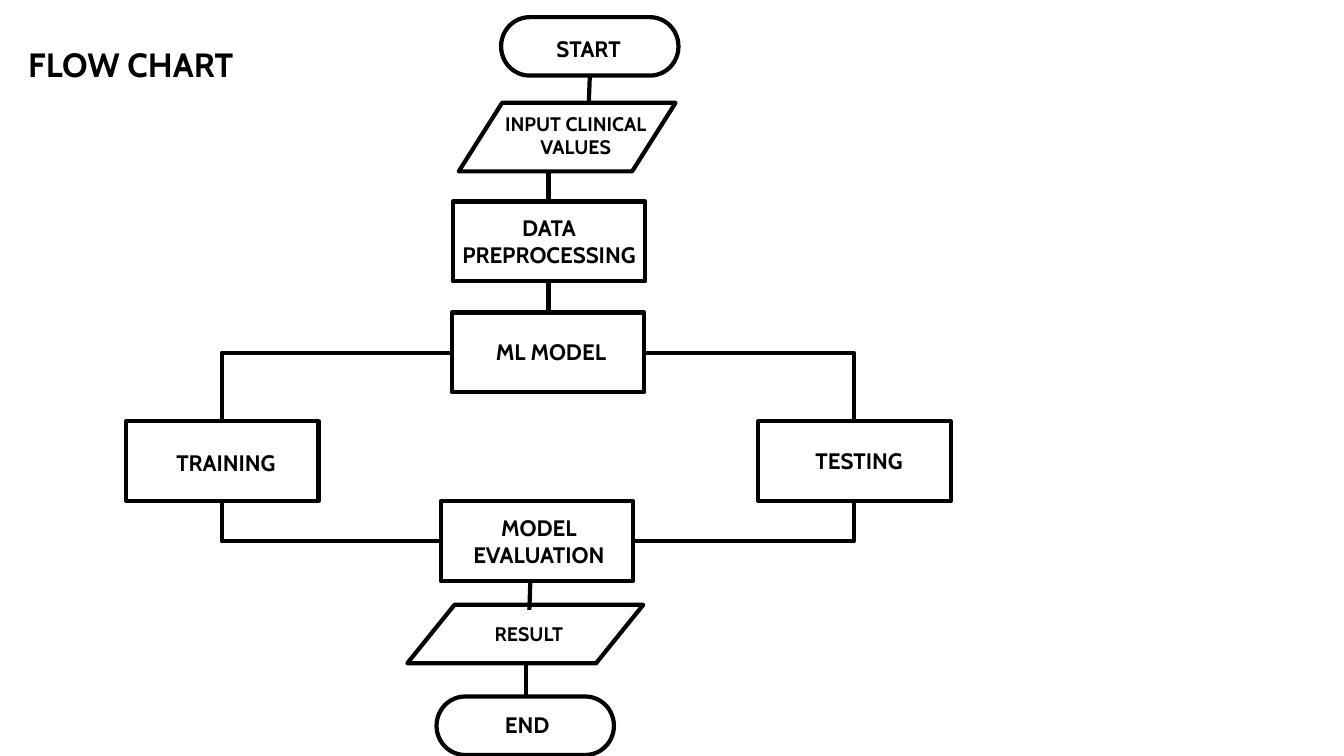
from lxml.etree import SubElement
from pptx import Presentation
from pptx.dml.color import RGBColor
from pptx.enum.shapes import MSO_CONNECTOR, MSO_SHAPE
from pptx.enum.text import MSO_ANCHOR, PP_ALIGN
from pptx.oxml.ns import qn
from pptx.util import Inches, Pt

# The slide is a grid of 1333 columns by 750 rows
CELL = Inches(0.01)
COLUMNS, ROWS = 1333, 750
INK = "000000"
FONT = "Cabin"
LINE_WIDTH = Pt(3)

TERMINATOR = MSO_SHAPE.FLOWCHART_TERMINATOR
PROCESS = MSO_SHAPE.FLOWCHART_PROCESS
DATA = MSO_SHAPE.FLOWCHART_DATA
LEFT, CENTER = PP_ALIGN.LEFT, PP_ALIGN.CENTER

TERMINATOR_SIZE = (176, 58)
PROCESS_SIZE = (191, 79)

# kind, position, size, text, label box, alignment, font size
STEPS = [
    (TERMINATOR, (497, 17), TERMINATOR_SIZE, "START", (542, 30, 87, 37), LEFT, 16),
    (DATA, (455, 102), (215, 68), "INPUT CLINICAL VALUES", (455, 106, 232, 57), CENTER, 14),
    (PROCESS, (449, 200), PROCESS_SIZE, "DATA PREPROCESSING", (440, 208, 209, 64), CENTER, 16),
    (PROCESS, (448, 310), PROCESS_SIZE, "ML MODEL", (482, 331, 146, 37), LEFT, 16),
    (PROCESS, (125, 418), PROCESS_SIZE, "TRAINING", (165, 441, 125, 37), LEFT, 16),
    (PROCESS, (752, 418), PROCESS_SIZE, "TESTING", (799, 439, 114, 37), LEFT, 16),
    (PROCESS, (437, 497), PROCESS_SIZE, "MODEL EVALUATION", (449, 505, 171, 64), CENTER, 16),
    (DATA, (404, 600), (234, 58), "RESULT", (437, 612, 175, 34), CENTER, 14),
    (TERMINATOR, (433, 691), TERMINATOR_SIZE, "END", (491, 701, 87, 37), LEFT, 16),
]

STRAIGHT_LINKS = [
    ((585, 75), (584, 102)),
    ((544, 170), (544, 198)),
    ((544, 281), (544, 309)),
    ((526, 577), (525, 605)),
    ((522, 657), (522, 691)),
]

# Each runs sideways from a middle box, then up or down to a branch
BENT_LINKS = [
    ((448, 350), (220, 418)),
    ((639, 350), (847, 418)),
    ((437, 537), (220, 497)),
    ((628, 537), (847, 497)),
]


def grid(*cells):
    return [CELL * cell for cell in cells]


def color(hex_code):
    return RGBColor.from_string(hex_code)


def style_line(line):
    line.color.rgb = color(INK)
    line.width = LINE_WIDTH


def add_text(paragraph, text, size):
    run = paragraph.add_run()
    run.text = text
    run.font.name = FONT
    run.font.size = Pt(size)
    run.font.bold = True
    run.font.color.rgb = color(INK)


def add_title(slide, text):
    title = slide.shapes.title
    title.left, title.top, title.width, title.height = grid(18, 20, 421, 93)
    title.text_frame.vertical_anchor = MSO_ANCHOR.MIDDLE
    paragraph = title.text_frame.paragraphs[0]
    paragraph.alignment = LEFT
    paragraph.line_spacing = 0.9
    add_text(paragraph, text, 24)


def add_step(slide, kind, position, size, text, label_box, alignment, font_size):
    """Draw an outlined flow chart symbol and its label."""
    shape = slide.shapes.add_shape(kind, *grid(*position, *size))
    shape.shadow.inherit = False
    shape.fill.background()
    style_line(shape.line)

    label = slide.shapes.add_textbox(*grid(*label_box))
    label.text_frame.word_wrap = True
    paragraph = label.text_frame.paragraphs[0]
    paragraph.alignment = alignment
    add_text(paragraph, text, font_size)


def add_link(slide, start, end, bent=False):
    kind = MSO_CONNECTOR.ELBOW if bent else MSO_CONNECTOR.STRAIGHT
    connector = slide.shapes.add_connector(kind, *grid(*start, *end))
    style_line(connector.line)
    properties = connector._element.spPr
    SubElement(properties, qn("a:effectLst"))
    if bent:
        properties.find(qn("a:prstGeom")).set("prst", "bentConnector2")


def main():
    presentation = Presentation()
    presentation.slide_width, presentation.slide_height = grid(COLUMNS, ROWS)
    slide = presentation.slides.add_slide(presentation.slide_layouts[5])
    add_title(slide, "FLOW CHART")
    for step in STEPS:
        add_step(slide, *step)
    for start, end in STRAIGHT_LINKS:
        add_link(slide, start, end)
    for start, end in BENT_LINKS:
        add_link(slide, start, end, bent=True)
    presentation.save("out.pptx")


if __name__ == "__main__":
    main()
